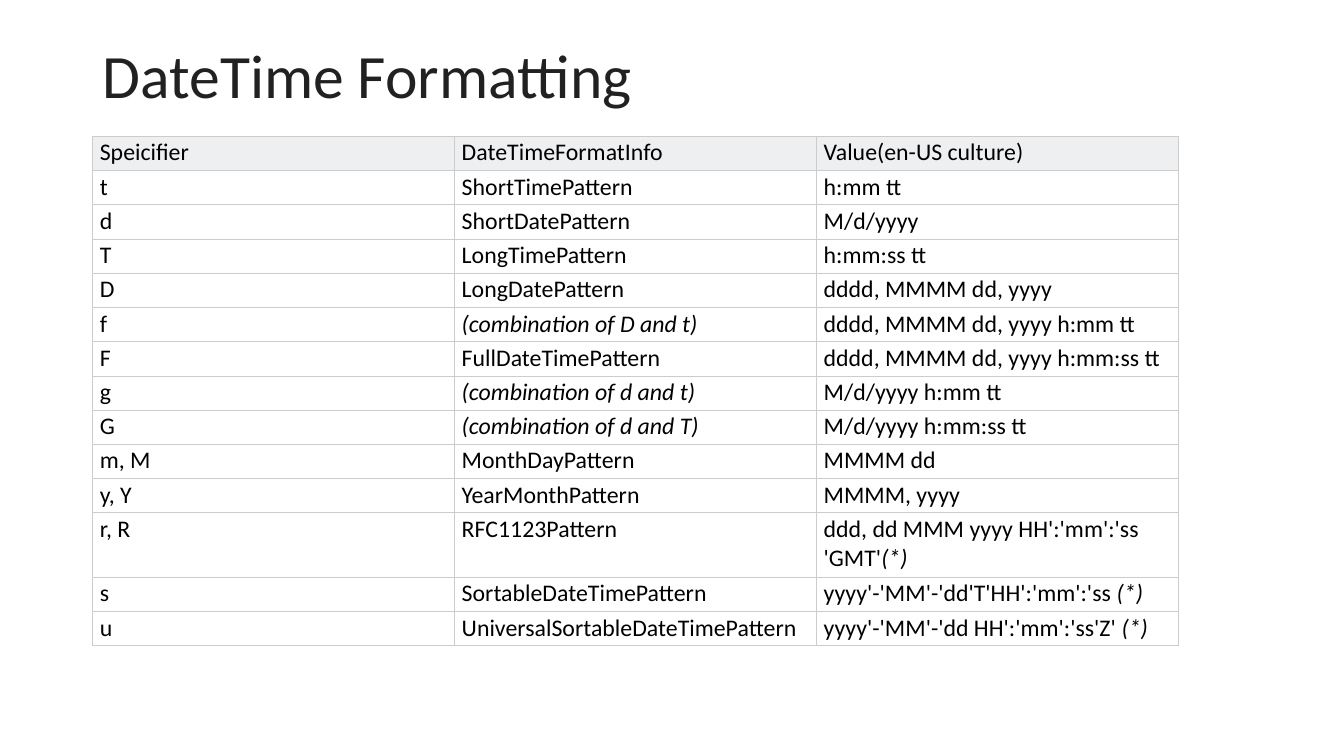
from dataclasses import dataclass

from pptx import Presentation
from pptx.dml.color import RGBColor
from pptx.enum.text import MSO_ANCHOR as Anchor
from pptx.oxml import parse_xml
from pptx.oxml.ns import nsdecls
from pptx.slide import Slide
from pptx.table import _Cell as Cell
from pptx.text.text import _Paragraph as Paragraph
from pptx.util import Pt

EMU_PER_PX = 9144  # 100 px to the inch
FONT = "Calibri"
COLORS = {
    "title": "212121",
    "text": "000000",
    "header": "EDEFF0",
    "body": "FFFFFF",
    "border": "CCCCCC",
}
BORDER_WIDTH = Pt(0.5)
COLUMN_WIDTH, ROW_HEIGHT, TALL_ROW_HEIGHT = 359, 34, 64


@dataclass(frozen=True)
class Run:
    text: str
    italic: bool = False


@dataclass(frozen=True)
class FormatRow:
    specifier: str
    pattern: Run
    value: str
    note: str = ""
    height: int = ROW_HEIGHT
    fill: str = "body"

    def cells(self) -> list[list[Run]]:
        value_runs = [Run(self.value)]
        if self.note:
            value_runs.append(Run(self.note, italic=True))
        return [[Run(self.specifier)], [self.pattern], value_runs]


FORMAT_ROWS = [
    FormatRow("Speicifier", Run("DateTimeFormatInfo"), "Value(en-US culture)", fill="header"),
    FormatRow("t", Run("ShortTimePattern"), "h:mm tt"),
    FormatRow("d", Run("ShortDatePattern"), "M/d/yyyy"),
    FormatRow("T", Run("LongTimePattern"), "h:mm:ss tt"),
    FormatRow("D", Run("LongDatePattern"), "dddd, MMMM dd, yyyy"),
    FormatRow("f", Run("(combination of D and t)", True), "dddd, MMMM dd, yyyy h:mm tt"),
    FormatRow("F", Run("FullDateTimePattern"), "dddd, MMMM dd, yyyy h:mm:ss tt"),
    FormatRow("g", Run("(combination of d and t)", True), "M/d/yyyy h:mm tt"),
    FormatRow("G", Run("(combination of d and T)", True), "M/d/yyyy h:mm:ss tt"),
    FormatRow("m, M", Run("MonthDayPattern"), "MMMM dd"),
    FormatRow("y, Y", Run("YearMonthPattern"), "MMMM, yyyy"),
    FormatRow("r, R", Run("RFC1123Pattern"), "ddd, dd MMM yyyy HH':'mm':'ss 'GMT'", "(*)",
              height=TALL_ROW_HEIGHT),
    FormatRow("s", Run("SortableDateTimePattern"), "yyyy'-'MM'-'dd'T'HH':'mm':'ss ", "(*)"),
    FormatRow("u", Run("UniversalSortableDateTimePattern"), "yyyy'-'MM'-'dd HH':'mm':'ss'Z' ", "(*)"),
]


def px(length: int) -> int:
    return length * EMU_PER_PX


def add_run(paragraph: Paragraph, content: Run, size: int, color: str) -> None:
    run = paragraph.add_run()
    run.text = content.text
    run.font.name = FONT
    run.font.size = Pt(size)
    run.font.italic = content.italic
    run.font.color.rgb = RGBColor.from_string(COLORS[color])


def add_title(slide: Slide, text: str) -> None:
    shape = slide.shapes.add_textbox(px(92), px(40), px(1150), px(145))
    frame = shape.text_frame
    frame.word_wrap = True
    frame.vertical_anchor = Anchor.TOP
    paragraph = frame.paragraphs[0]
    paragraph.line_spacing = 0.9
    add_run(paragraph, Run(text), 44, "title")


def add_borders(cell: Cell) -> None:
    properties = cell._tc.get_or_add_tcPr()
    for side in ("lnL", "lnR", "lnT", "lnB"):
        properties.append(parse_xml(
            f'<a:{side} {nsdecls("a")} w="{int(BORDER_WIDTH)}"><a:solidFill>'
            f'<a:srgbClr val="{COLORS["border"]}"/></a:solidFill></a:{side}>'
        ))


def fill_cell(cell: Cell, runs: list[Run], fill: str) -> None:
    cell.margin_left = cell.margin_right = px(7)
    cell.margin_top = cell.margin_bottom = px(2)
    add_borders(cell)
    cell.fill.solid()
    cell.fill.fore_color.rgb = RGBColor.from_string(COLORS[fill])
    for content in runs:
        add_run(cell.text_frame.paragraphs[0], content, 17, "text")


def add_format_table(slide: Slide, rows: list[FormatRow]) -> None:
    column_count = len(rows[0].cells())
    height = sum(row.height for row in rows)
    table = slide.shapes.add_table(
        len(rows), column_count, px(92), px(135), px(column_count * COLUMN_WIDTH), px(height)
    ).table
    table.first_row = table.horz_banding = False
    for column in table.columns:
        column.width = px(COLUMN_WIDTH)
    for row_index, row in enumerate(rows):
        table.rows[row_index].height = px(row.height)
        for column_index, runs in enumerate(row.cells()):
            fill_cell(table.cell(row_index, column_index), runs, row.fill)


def main() -> None:
    presentation = Presentation()
    presentation.slide_width, presentation.slide_height = px(1333), px(750)
    slide = presentation.slides.add_slide(presentation.slide_layouts[6])
    # Heading
    add_title(slide, "DateTime Formatting")
    # Specifier table
    add_format_table(slide, FORMAT_ROWS)
    presentation.save("out.pptx")


if __name__ == "__main__":
    main()
